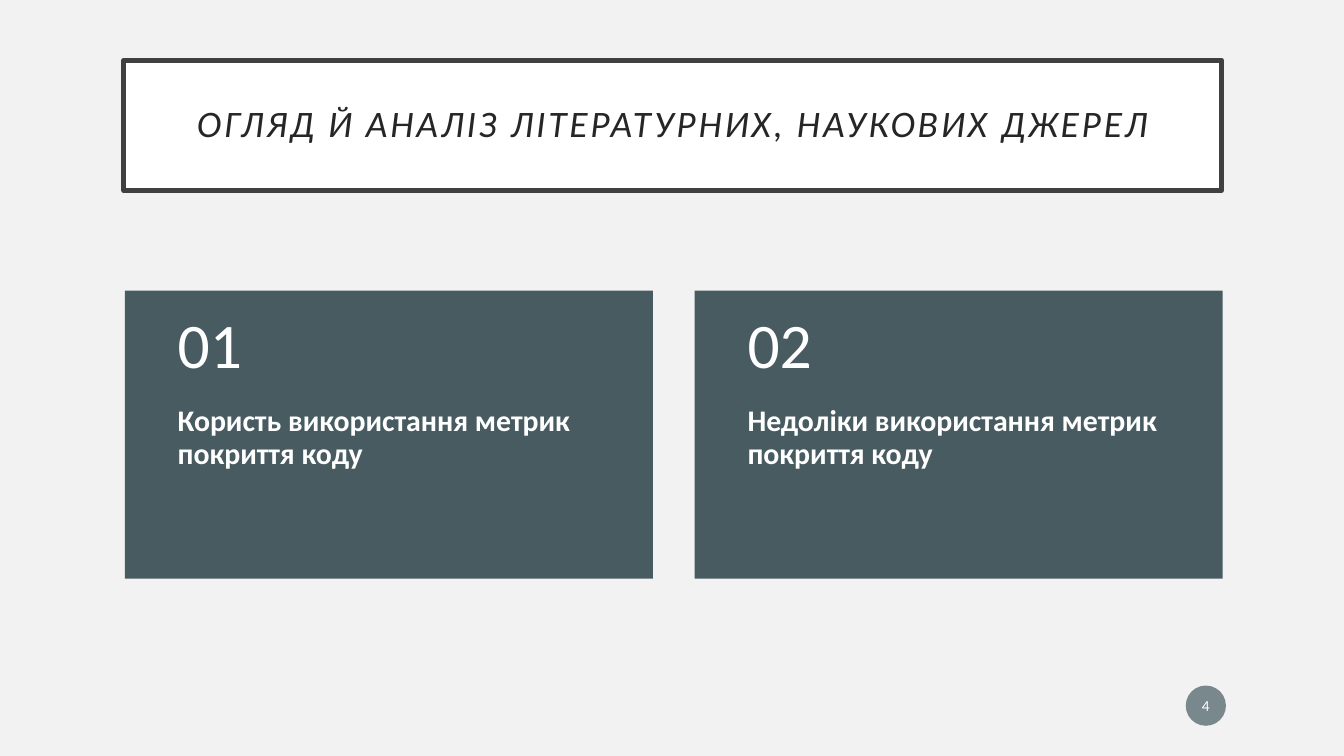
from lxml import etree
from pptx import Presentation
from pptx.dml.color import RGBColor
from pptx.enum.shapes import MSO_SHAPE
from pptx.enum.text import MSO_ANCHOR, PP_ALIGN
from pptx.oxml.ns import qn
from pptx.util import Cm, Pt

RECTANGLE, OVAL = MSO_SHAPE.RECTANGLE, MSO_SHAPE.OVAL
TOP, MIDDLE = MSO_ANCHOR.TOP, MSO_ANCHOR.MIDDLE
LEFT, CENTER = PP_ALIGN.LEFT, PP_ALIGN.CENTER

# Content
TITLE = "ОГЛЯД Й АНАЛІЗ ЛІТЕРАТУРНИХ, НАУКОВИХ ДЖЕРЕЛ"
CARDS = [
    ("01", "Користь використання метрик покриття коду"),
    ("02", "Недоліки використання метрик покриття коду"),
]
PAGE_NUMBER = "4"

# Style
FONT = "Calibri"
BACKGROUND = RGBColor(0xF2, 0xF2, 0xF2)
SLATE = RGBColor(0x47, 0x5B, 0x61)
WHITE = RGBColor(0xFF, 0xFF, 0xFF)
FRAME = RGBColor(0x40, 0x40, 0x40)
INK = RGBColor(0x26, 0x26, 0x26)

# Card layout, in centimetres
CARD_LEFT, CARD_TOP = 2.36, 5.49
CARD_WIDTH, CARD_HEIGHT, CARD_GAP = 9.98, 5.44, 0.79
NUMBER_HEIGHT = 2.18


def add_block(page, kind, place, fill, line=None):
    block = page.shapes.add_shape(kind, *map(Cm, place))
    block.shadow.inherit = False
    block.fill.solid()
    block.fill.fore_color.rgb = fill
    if line is None:
        block.line.fill.background()
    else:
        block.line.color.rgb = line
        block.line.width = Pt(2.5)
    return block


def write(box, text, size, color=WHITE, bold=False, italic=False, align=LEFT,
          anchor=MIDDLE, insets=(0, 0, 0, 0), line_spacing=0.9, tracking=0):
    frame = box.text_frame
    frame.word_wrap = True
    frame.vertical_anchor = anchor
    (frame.margin_left, frame.margin_top,
     frame.margin_right, frame.margin_bottom) = map(Cm, insets)
    para = frame.paragraphs[0]
    para.alignment = align
    para.line_spacing = line_spacing
    span = para.add_run()
    span.text = text
    font = span.font
    font.name, font.size = FONT, Pt(size)
    font.bold, font.italic = bold, italic
    font.color.rgb = color
    if tracking:
        span._r.get_or_add_rPr().set("spc", str(round(tracking * 100)))


deck = Presentation()
deck.slide_width, deck.slide_height = Cm(25.4), Cm(14.28)
page = deck.slides.add_slide(deck.slide_layouts[6])
page.background.fill.solid()
page.background.fill.fore_color.rgb = BACKGROUND

# Numbered cards
for index, (number, topic) in enumerate(CARDS):
    left = CARD_LEFT + index * (CARD_WIDTH + CARD_GAP)
    add_block(page, RECTANGLE, (left, CARD_TOP, CARD_WIDTH, CARD_HEIGHT), SLATE)

    topic_place = (left, CARD_TOP + NUMBER_HEIGHT,
                   CARD_WIDTH, CARD_HEIGHT - NUMBER_HEIGHT)
    topic_box = page.shapes.add_textbox(*map(Cm, topic_place))
    write(topic_box, topic, 16, bold=True, anchor=TOP, insets=(1, 0, 1, 0.91))

    number_place = (left, CARD_TOP, CARD_WIDTH, NUMBER_HEIGHT)
    number_box = page.shapes.add_textbox(*map(Cm, number_place))
    write(number_box, number, 34, insets=(1, 0.46, 1, 0.46))

# Page number badge, 70 % opaque
badge = add_block(page, OVAL, (22.41, 12.95, 0.76, 0.76), SLATE)
badge_color = badge._element.spPr.find(qn("a:solidFill"))[0]
etree.SubElement(badge_color, qn("a:alpha")).set("val", "70000")
write(badge, PAGE_NUMBER, 8.2, align=CENTER, line_spacing=1,
      insets=(0.05, 0.13, 0.05, 0.13))

# Framed title
title = add_block(page, RECTANGLE, (2.34, 1.14, 20.75, 2.46), WHITE, line=FRAME)
write(title, TITLE, 20, color=INK, italic=True, align=CENTER, tracking=1.5,
      insets=(0.5, 0.5, 0.5, 0.5))

deck.save("out.pptx")
